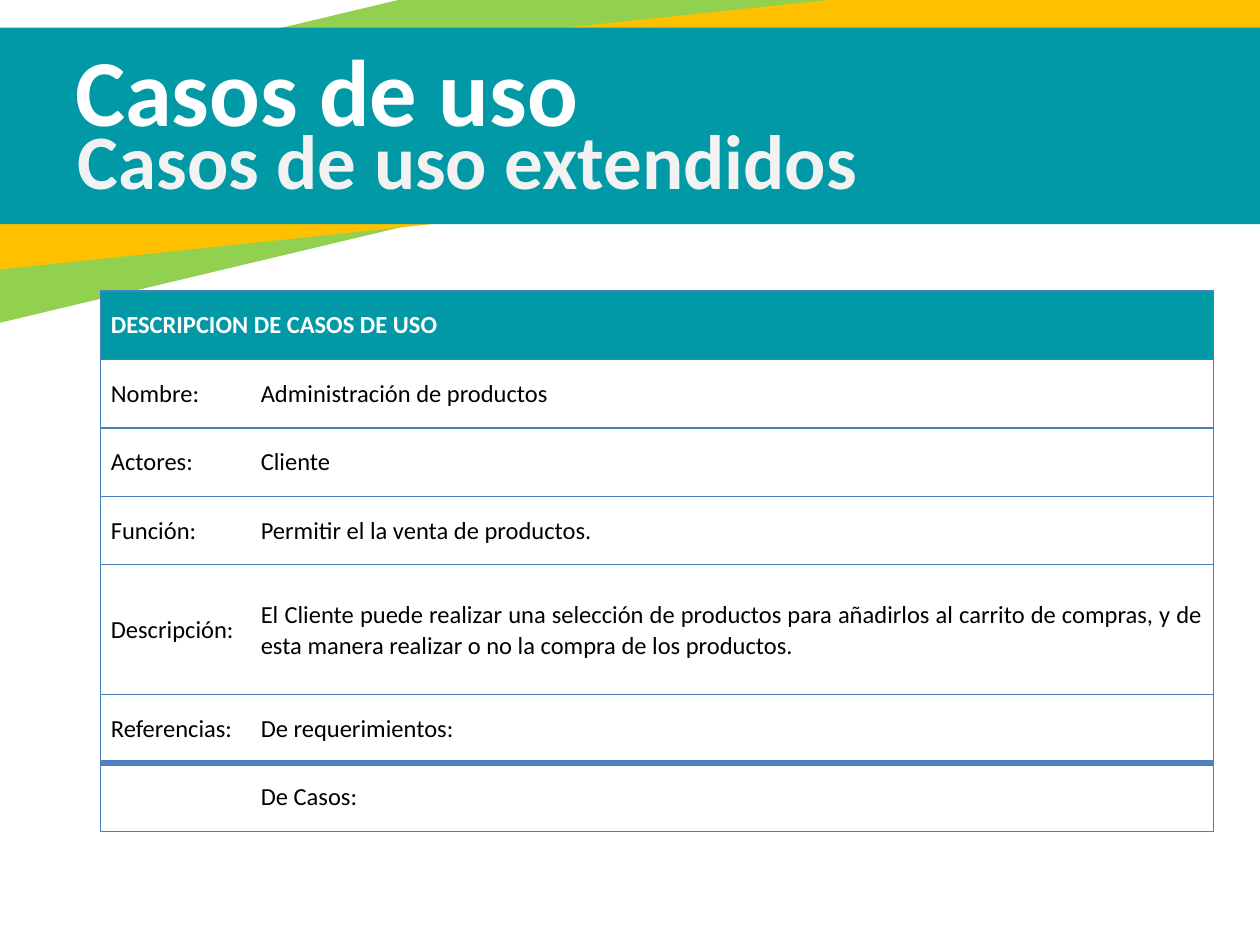
from lxml import etree
from pptx import Presentation
from pptx import util as u
from pptx.dml.color import RGBColor
from pptx.enum import shapes, text
from pptx.oxml.ns import qn

TEAL = RGBColor(0x00, 0x99, 0xA5)
GREEN = RGBColor(0x92, 0xD0, 0x50)
AMBER = RGBColor(0xFF, 0xC0, 0x00)
WHITE = RGBColor(0xFF, 0xFF, 0xFF)
PALE = RGBColor(0xF2, 0xF2, 0xF2)
BLACK = RGBColor(0x00, 0x00, 0x00)
GRID = RGBColor(0x4B, 0x7E, 0xBC)
DIVIDER = RGBColor(0x4F, 0x81, 0xBD)
FONT = "Calibri"
THIN = (GRID, 0.75)
THICK = (DIVIDER, 4)

USE_CASE = [
    ("DESCRIPCION DE CASOS DE USO", ""),
    ("Nombre:", "Administración de productos"),
    ("Actores:", "Cliente"),
    ("Función:", "Permitir el la venta de productos."),
    ("Descripción:", "El Cliente puede realizar una selección de productos para "
     "añadirlos al carrito de compras, y de esta manera realizar o no la compra "
     "de los productos."),
    ("Referencias:", "De requerimientos:"),
    ("", "De Casos: "),
]
DESCRIPTION_ROW = 4


def inches(*lengths):
    return [u.Inches(length) for length in lengths]


def style_runs(paragraph, size, color, bold):
    for run in paragraph.runs:
        run.font.name = FONT
        run.font.size = u.Pt(size)
        run.font.bold = bold
        run.font.color.rgb = color


def add_band(slide, box, color, rotation):
    band = slide.shapes.add_shape(shapes.MSO_SHAPE.RECTANGLE, *inches(*box))
    band.rotation = rotation
    band.shadow.inherit = False
    band.fill.solid()
    band.fill.fore_color.rgb = color
    band.line.fill.background()


def add_heading(slide, box, words, size, color):
    frame = slide.shapes.add_textbox(*inches(*box)).text_frame
    frame.word_wrap = True
    frame.vertical_anchor = text.MSO_ANCHOR.MIDDLE
    frame.text = words
    style_runs(frame.paragraphs[0], size, color, True)


def add_banner(slide, box):
    """Teal band with two tilted bands behind it and two headings on it."""
    left, top, width, height = box
    add_band(slide, (left - 1.45, top - 0.4, width + 1.43, height + 0.2), GREEN, 346.6)
    add_band(slide, (left - 0.04, top - 0.02, width, height - 0.12), AMBER, 354)
    add_band(slide, box, TEAL, 0)
    add_heading(slide, (0.5, top - 0.03, 6.2, 1.02), "Casos de uso ", 54, WHITE)
    add_heading(slide, (0.52, top + 0.4, 8.08, 1.28), "Casos de uso extendidos", 44, PALE)


def set_borders(cell, **sides):
    """Draw each side given as (colour, points); hide a side given as None."""
    properties = cell._tc.get_or_add_tcPr()
    for index, side in enumerate("LRTB"):
        line = etree.Element(qn("a:ln" + side))
        if sides[side]:
            color, points = sides[side]
            line.set("w", str(u.Pt(points)))
            solid = etree.SubElement(line, qn("a:solidFill"))
            etree.SubElement(solid, qn("a:srgbClr")).set("val", str(color))
        else:
            etree.SubElement(line, qn("a:noFill"))
        properties.insert(index, line)


def fill_cell(cell, words, header, justified):
    cell.margin_left = cell.margin_right = 0
    cell.margin_top = cell.margin_bottom = 0
    cell.vertical_anchor = text.MSO_ANCHOR.MIDDLE
    if header:
        cell.fill.solid()
        cell.fill.fore_color.rgb = TEAL
    else:
        cell.fill.background()
    cell.text = words
    paragraph = cell.text_frame.paragraphs[0]
    paragraph.space_before = u.Pt(7.4)
    indent = paragraph._p.get_or_add_pPr()
    indent.set("marL", str(u.Inches(0.08)))
    if justified:
        indent.set("marR", str(u.Inches(0.08)))
        paragraph.alignment = text.PP_ALIGN.JUSTIFY
        paragraph.line_spacing = 1.05
    style_runs(paragraph, 14, WHITE if header else BLACK, header)


def add_use_case_table(slide, box):
    left, top, width, height = box
    count = len(USE_CASE)
    table = slide.shapes.add_table(count, 2, *inches(*box)).table
    label_width, tall_row = 1.19, 1.03
    table.columns[0].width, table.columns[1].width = inches(label_width, width - label_width)
    plain_row = (height - tall_row) / (count - 1)
    for r, row in enumerate(USE_CASE):
        is_description = r == DESCRIPTION_ROW
        table.rows[r].height = u.Inches(tall_row if is_description else plain_row)
        for c, words in enumerate(row):
            cell = table.cell(r, c)
            fill_cell(cell, words, r == 0, is_description and c == 1)
            set_borders(
                cell,
                L=THIN if c == 0 else None,
                R=THIN if c == 1 or r == 0 else None,
                T=THICK if r == count - 1 else THIN,
                B=THICK if r == count - 2 else THIN,
            )
    table.cell(0, 0).merge(table.cell(0, 1))


deck = Presentation()
deck.slide_width, deck.slide_height = inches(10, 7.5)
use_case_slide = deck.slides.add_slide(deck.slide_layouts[6])
add_banner(use_case_slide, (-1.06, 0.22, 11.63, 1.56))
add_use_case_table(use_case_slide, (0.8, 2.31, 8.83, 4.29))
deck.save("out.pptx")
